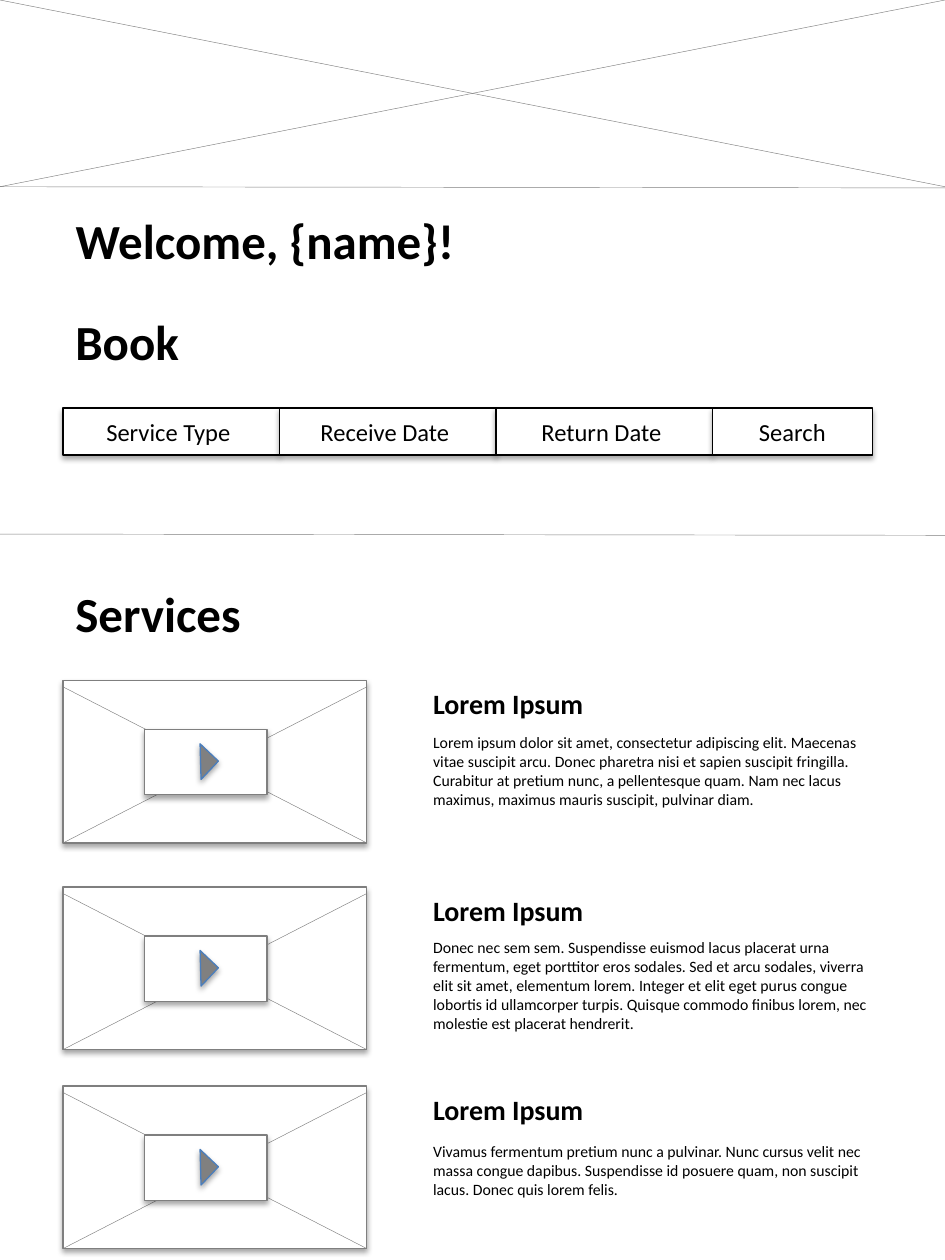
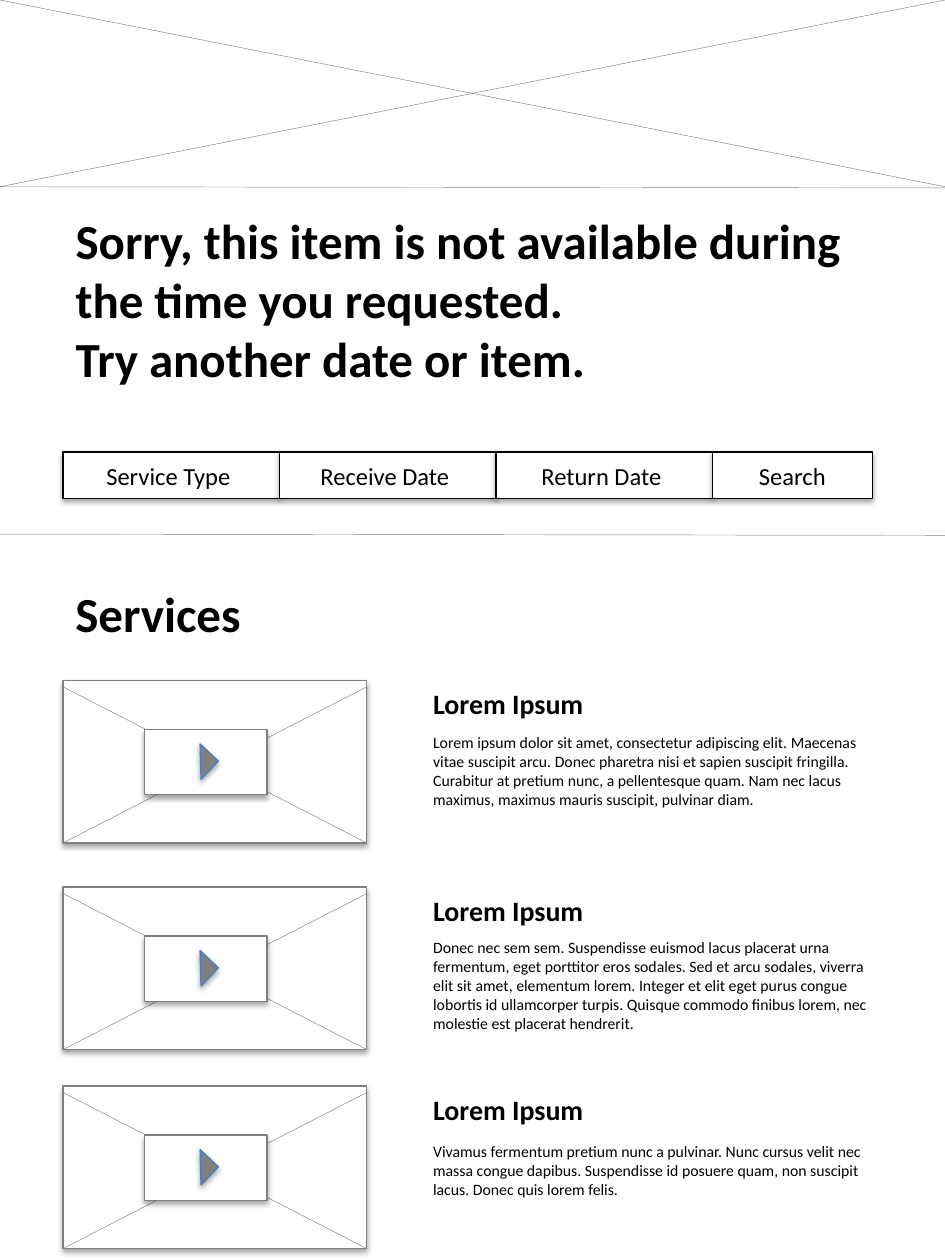
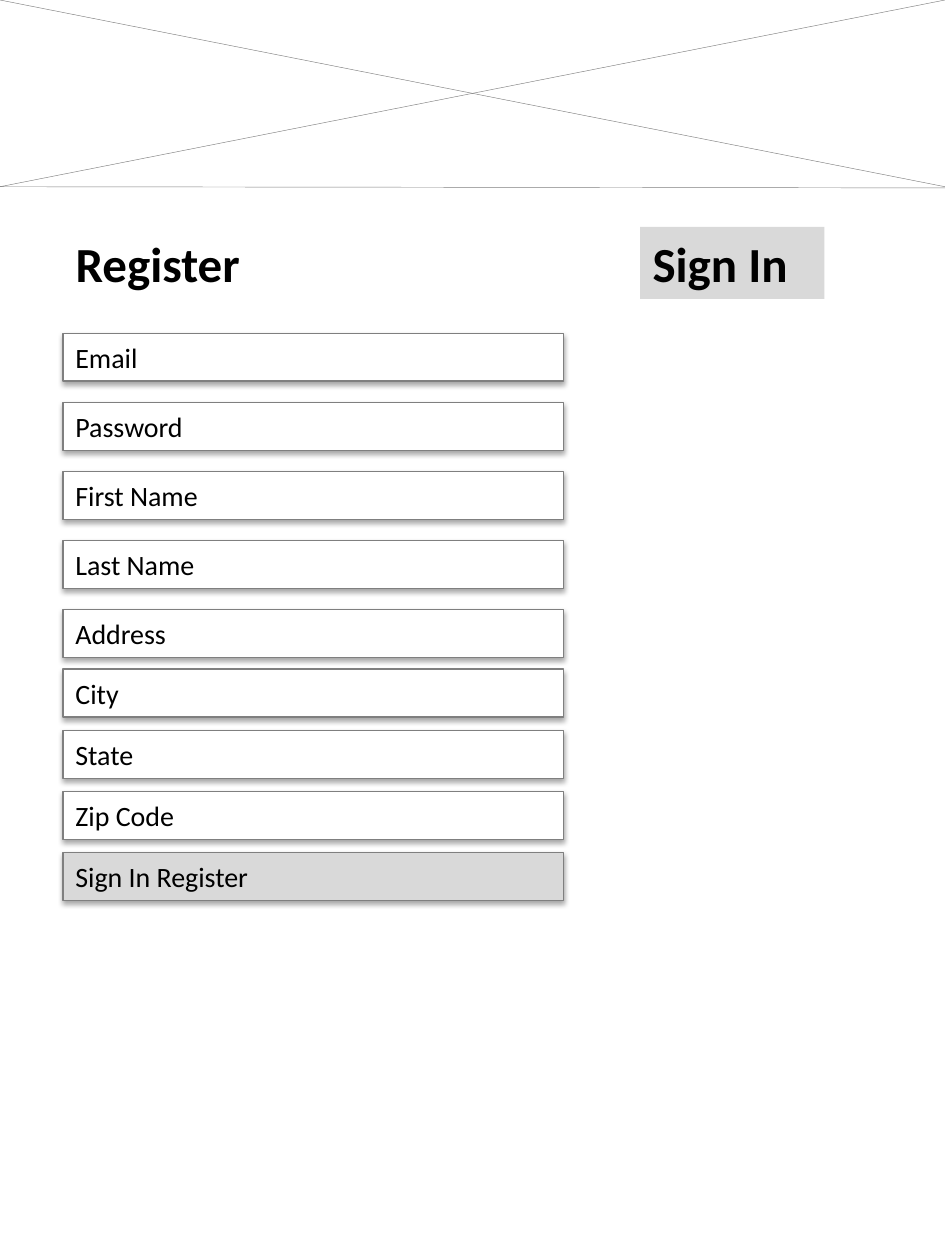
from pptx import Presentation
from pptx.dml.color import RGBColor
from pptx.enum.shapes import MSO_CONNECTOR, MSO_SHAPE
from pptx.enum.text import MSO_ANCHOR, MSO_AUTO_SIZE, PP_ALIGN
from pptx.oxml import parse_xml
from pptx.oxml.ns import nsdecls, qn
from pptx.util import Pt

BLACK = RGBColor(0x00, 0x00, 0x00)
WHITE = RGBColor(0xFF, 0xFF, 0xFF)
GRAY = RGBColor(0x7F, 0x7F, 0x7F)
ARROW_GRAY = RGBColor(0x80, 0x80, 0x80)
LIGHT_GRAY = RGBColor(0xD9, 0xD9, 0xD9)
BLUE = RGBColor(0x4B, 0x7E, 0xBC)

FONT = "Calibri"
PAGE_WIDTH, PAGE_HEIGHT = 540, 720
MARGIN = 36
HEADER_BOTTOM = 106.7
TEXT_LEFT = 240.4
SHADOW = (
    f'<a:outerShdw {nsdecls("a")} blurRad="40000" dist="23000" dir="5400000" '
    'rotWithShape="0"><a:srgbClr val="000000"><a:alpha val="35000"/>'
    "</a:srgbClr></a:outerShdw>"
)
EMPTY_EFFECTS = f'<a:effectLst {nsdecls("a")}/>'

SEARCH_FIELDS = ["Service Type ", "Receive Date ", "Return Date ", "Search"]
SERVICES = [
    (388.8, 26.6, 51.1,
     "Lorem ipsum dolor sit amet, consectetur adipiscing elit. Maecenas vitae suscipit arcu. "
     "Donec pharetra nisi et sapien suscipit fringilla. Curabitur at pretium nunc, a pellentesque "
     "quam. Nam nec lacus maximus, maximus mauris suscipit, pulvinar diam."),
    (506.9, 25.7, 61.9,
     "Donec nec sem sem. Suspendisse euismod lacus placerat urna fermentum, eget porttitor eros "
     "sodales. Sed et arcu sodales, viverra elit sit amet, elementum lorem. Integer et elit eget "
     "purus congue lobortis id ullamcorper turpis. Quisque commodo finibus lorem, nec molestie est "
     "placerat hendrerit."),
    (620.6, 28.1, 40.3,
     "Vivamus fermentum pretium nunc a pulvinar. Nunc cursus velit nec massa congue dapibus. "
     "Suspendisse id posuere quam, non suscipit lacus. Donec quis lorem felis."),
]
ACCOUNT_FIELDS = ["Email", "Password", "First Name", "Last Name", "Address"]
PLACE_FIELDS = ["City", "State", "Zip Code", "Sign In Register"]


class Wireframe:
    def __init__(self):
        self.deck = Presentation()
        self.deck.slide_width = Pt(PAGE_WIDTH)
        self.deck.slide_height = Pt(PAGE_HEIGHT)
        self.page = None

    def new_page(self):
        self.page = self.deck.slides.add_slide(self.deck.slide_layouts[5])
        self.cross(0, 0, PAGE_WIDTH, HEADER_BOTTOM)
        self.divider(HEADER_BOTTOM)

    def label(self, shape, text, size, bold=False, align=PP_ALIGN.LEFT, anchor=MSO_ANCHOR.TOP):
        frame = shape.text_frame
        frame.text = text
        frame.vertical_anchor = anchor
        for paragraph in frame.paragraphs:
            paragraph.alignment = align
            for span in paragraph.runs:
                span.font.name = FONT
                span.font.size = Pt(size)
                span.font.bold = bold
                span.font.color.rgb = BLACK

    def fit(self, shape, wrap):
        shape.text_frame.word_wrap = wrap
        shape.text_frame.auto_size = MSO_AUTO_SIZE.SHAPE_TO_FIT_TEXT

    def title(self, text, top, width, height=41.2, wrap=False):
        box = self.page.shapes.title
        box.left, box.top, box.width, box.height = Pt(MARGIN), Pt(top), Pt(width), Pt(height)
        self.label(box, text, 28, bold=True)
        self.fit(box, wrap)

    def text(self, text, left, top, width, height, size, bold=False, wrap=False):
        box = self.page.shapes.add_textbox(Pt(left), Pt(top), Pt(width), Pt(height))
        self.label(box, text, size, bold)
        self.fit(box, wrap)
        return box

    def line(self, left, top, right, bottom):
        line = self.page.shapes.add_connector(
            MSO_CONNECTOR.STRAIGHT, Pt(left), Pt(top), Pt(right), Pt(bottom))
        line.line.color.rgb = GRAY
        line.line.width = Pt(0.25)
        line._element.spPr.append(parse_xml(EMPTY_EFFECTS))

    def cross(self, left, top, right, bottom):
        self.line(left, top, right, bottom)
        self.line(right, top, left, bottom)

    def divider(self, top):
        self.line(PAGE_WIDTH, top + 0.7, 0, top)

    def shape(self, left, top, width, height, fill=WHITE, outline=GRAY, kind=MSO_SHAPE.RECTANGLE):
        shape = self.page.shapes.add_shape(kind, Pt(left), Pt(top), Pt(width), Pt(height))
        shape.fill.solid()
        shape.fill.fore_color.rgb = fill
        shape.line.color.rgb = outline
        shape.line.width = Pt(0.75)
        shape.shadow.inherit = False
        shape._element.spPr.find(qn("a:effectLst")).append(parse_xml(SHADOW))
        return shape

    def search_bar(self, top):
        pitch = 123.7
        for index, name in enumerate(SEARCH_FIELDS):
            width = 91.4 if name == "Search" else pitch
            field = self.shape(MARGIN + index * pitch, top, width, 26.8, outline=BLACK)
            self.label(field, name, 14, align=PP_ALIGN.CENTER, anchor=MSO_ANCHOR.MIDDLE)

    def form_field(self, name, top, fill=WHITE):
        field = self.shape(MARGIN, top, 286, 27.4, fill)
        self.label(field, name, 16, anchor=MSO_ANCHOR.MIDDLE)

    def video(self, top):
        width, height = 173.6, 92.9
        self.shape(MARGIN, top, width, height)
        self.cross(MARGIN, top + 3.7, MARGIN + width, top + height)
        self.shape(MARGIN + 46.8, top + 28, 69.8, 37.4)
        arrow = self.shape(MARGIN + 71.4, top + 39.2, 14.4, 14.4,
                           ARROW_GRAY, BLUE, MSO_SHAPE.RIGHT_TRIANGLE)
        arrow.rotation = 223.4

    def services(self):
        self.divider(305.2)
        self.text("Services", MARGIN, 329.8, 124.6, 41.2, 28, bold=True)
        for top, offset, height, description in SERVICES:
            self.video(top)
            self.text("Lorem Ipsum", TEXT_LEFT, top, 113.8, 26.6, 16, bold=True)
            self.text(description, TEXT_LEFT, top + offset, 270, height, 9, wrap=True)


def main():
    wireframe = Wireframe()

    wireframe.new_page()
    wireframe.title("Welcome, {name}!", 116.6, 260)
    wireframe.text("Book", MARGIN, 174.6, 84.2, 41.2, 28, bold=True)
    wireframe.search_bar(233.2)
    wireframe.services()

    wireframe.new_page()
    wireframe.title("Sorry, this item is not available during the time you requested.\n"
                    "Try another date or item.", 116.6, 462.2, 108.7, wrap=True)
    wireframe.search_bar(258.2)
    wireframe.services()

    wireframe.new_page()
    wireframe.title("Register", 129.6, 128.9)
    sign_in = wireframe.text("Sign In", 365.8, 129.6, 105.3, 41.2, 28, bold=True)
    sign_in.fill.solid()
    sign_in.fill.fore_color.rgb = LIGHT_GRAY
    for index, name in enumerate(ACCOUNT_FIELDS):
        wireframe.form_field(name, 190.4 + index * 39.5)
    for index, name in enumerate(PLACE_FIELDS):
        fill = LIGHT_GRAY if name == "Sign In Register" else WHITE
        wireframe.form_field(name, 382.3 + index * 35, fill)

    wireframe.deck.save("out.pptx")


if __name__ == "__main__":
    main()
